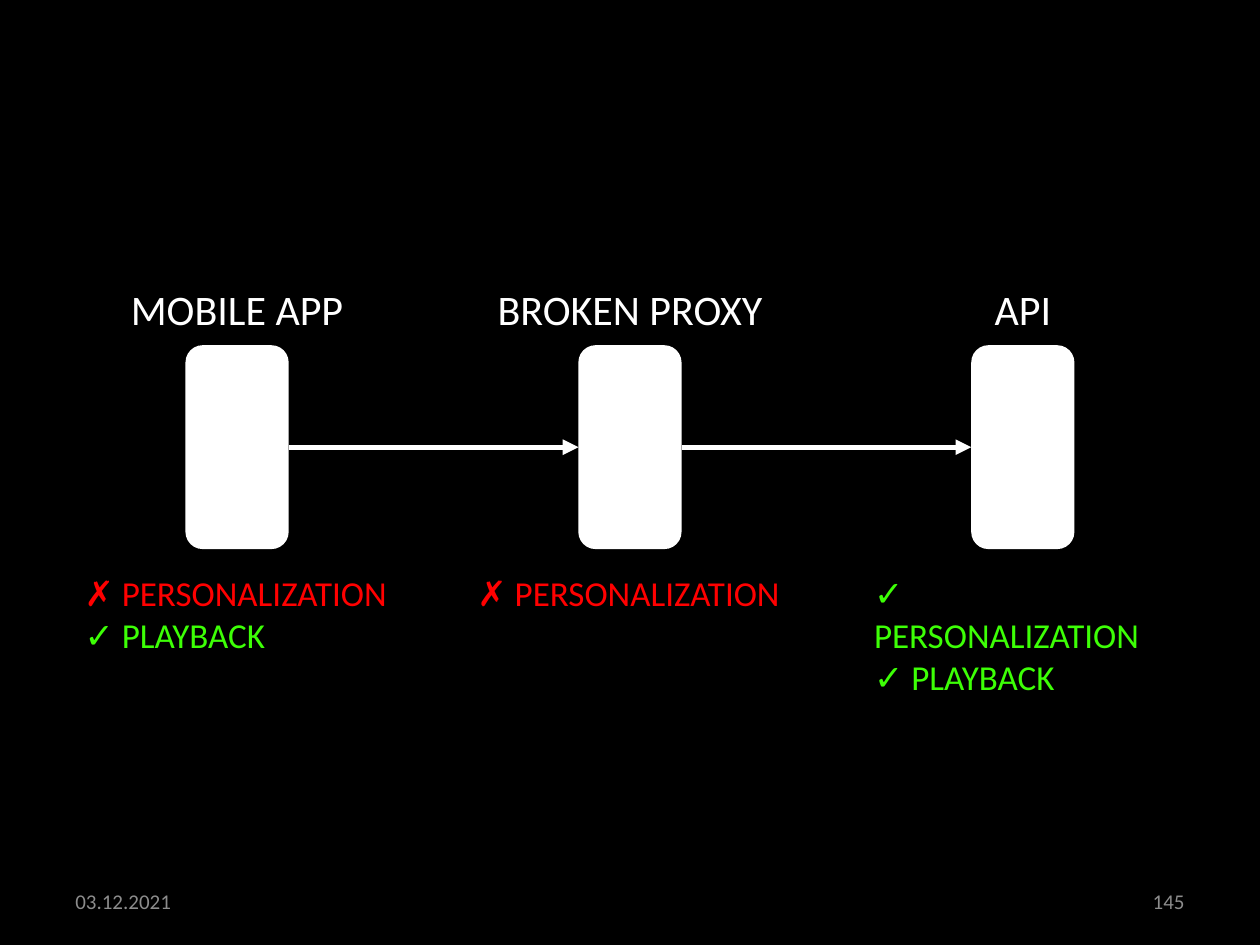
from dataclasses import dataclass

from lxml.etree import SubElement
from pptx import Presentation
from pptx.dml.color import RGBColor
from pptx.enum.shapes import MSO_CONNECTOR, MSO_SHAPE
from pptx.enum.text import MSO_ANCHOR, PP_ALIGN
from pptx.oxml.ns import qn
from pptx.shapes.autoshape import Shape
from pptx.slide import Slide
from pptx.util import Cm, Pt


@dataclass(frozen=True)
class Theme:
    font: str = "Calibri"
    background: RGBColor = RGBColor(0x00, 0x00, 0x00)
    foreground: RGBColor = RGBColor(0xFF, 0xFF, 0xFF)
    works: RGBColor = RGBColor(0x3D, 0xFF, 0x06)
    fails: RGBColor = RGBColor(0xFF, 0x00, 0x00)
    muted: RGBColor = RGBColor(0x8C, 0x8C, 0x8C)
    heading: Pt = Pt(24)
    status: Pt = Pt(20)
    footer: Pt = Pt(12)
    arrow: Pt = Pt(3)


@dataclass(frozen=True)
class Line:
    text: str
    color: RGBColor


@dataclass(frozen=True)
class Box:
    left: float
    top: float
    width: float
    height: float

    def lengths(self) -> tuple[Cm, Cm, Cm, Cm]:
        return Cm(self.left), Cm(self.top), Cm(self.width), Cm(self.height)


@dataclass(frozen=True)
class Stage:
    heading: str
    heading_width: float
    statuses: list[Line]
    status_width: float = 6.65
    status_wraps: bool = False


THEME = Theme()
FIRST_CENTER, PITCH = 4.78, 7.92
NODE_WIDTH, NODE_HEIGHT, NODE_TOP = 2.08, 4.11, 6.96
HEADING_TOP, STATUS_TOP = 5.59, 11.4
RIGHT_SIDE, LEFT_SIDE = 3, 1

STAGES = [
    Stage("MOBILE APP", 4.83, [Line("✗ PERSONALIZATION", THEME.fails),
                               Line("✓ PLAYBACK", THEME.works)]),
    Stage("BROKEN PROXY", 5.89, [Line("✗ PERSONALIZATION", THEME.fails)]),
    Stage("API", 1.65, [Line("✓ PERSONALIZATION", THEME.works),
                        Line("✓ PLAYBACK", THEME.works)],
          status_width=6.5, status_wraps=True),
]


def set_all(target: object, values: dict[str, object]) -> None:
    for name, value in values.items():
        setattr(target, name, value)


def add_text(slide: Slide, box: Box, lines: list[Line], size: Pt,
             align: PP_ALIGN = PP_ALIGN.LEFT,
             anchor: MSO_ANCHOR = MSO_ANCHOR.TOP, wrap: bool = False) -> None:
    frame = slide.shapes.add_textbox(*box.lengths()).text_frame
    set_all(frame, {"word_wrap": wrap, "vertical_anchor": anchor})
    paragraph = frame.paragraphs[0]
    paragraph.alignment = align
    set_all(paragraph.font, {"name": THEME.font, "size": size})
    for index, line in enumerate(lines):
        if index:
            paragraph.add_line_break()
        run = paragraph.add_run()
        run.text = line.text
        set_all(run.font, {"name": THEME.font, "size": size})
        run.font.color.rgb = line.color


def add_stage(slide: Slide, stage: Stage, center: float) -> Shape:
    def centered(top: float, width: float, height: float) -> Box:
        return Box(center - width / 2, top, width, height)

    node = slide.shapes.add_shape(
        MSO_SHAPE.ROUNDED_RECTANGLE,
        *centered(NODE_TOP, NODE_WIDTH, NODE_HEIGHT).lengths())
    node.shadow.inherit = False
    node.fill.solid()
    node.fill.fore_color.rgb = THEME.foreground
    node.line.fill.background()

    add_text(slide, centered(HEADING_TOP, stage.heading_width, 1.27),
             [Line(stage.heading, THEME.foreground)], THEME.heading,
             PP_ALIGN.CENTER)
    status_height = 0.28 + 0.84 * len(stage.statuses)
    add_text(slide, centered(STATUS_TOP, stage.status_width, status_height),
             stage.statuses, THEME.status, wrap=stage.status_wraps)
    return node


def add_arrow(slide: Slide, source: Shape, target: Shape) -> None:
    arrow = slide.shapes.add_connector(MSO_CONNECTOR.STRAIGHT, 0, 0, 0, 0)
    arrow.begin_connect(source, RIGHT_SIDE)
    arrow.end_connect(target, LEFT_SIDE)
    arrow.line.width = THEME.arrow
    arrow.line.color.rgb = THEME.foreground
    SubElement(arrow.line._get_or_add_ln(), qn("a:tailEnd"), type="triangle")
    SubElement(arrow._element.spPr, qn("a:effectLst"))


def main() -> None:
    deck = Presentation()
    set_all(deck, {"slide_width": Cm(25.4), "slide_height": Cm(19.05)})
    slide = deck.slides.add_slide(deck.slide_layouts[6])
    slide.background.fill.solid()
    slide.background.fill.fore_color.rgb = THEME.background

    # Footer: date and slide number
    for text, left, align in (("03.12.2021", 1.27, PP_ALIGN.LEFT),
                              ("145", 18.21, PP_ALIGN.RIGHT)):
        add_text(slide, Box(left, 17.65, 5.92, 1.02),
                 [Line(text, THEME.muted)], THEME.footer, align,
                 MSO_ANCHOR.MIDDLE, wrap=True)

    # Request chain: stages with headings and statuses
    nodes = [add_stage(slide, stage, FIRST_CENTER + index * PITCH)
             for index, stage in enumerate(STAGES)]

    # Arrows between neighbouring stages
    for source, target in zip(nodes, nodes[1:]):
        add_arrow(slide, source, target)

    deck.save("out.pptx")


if __name__ == "__main__":
    main()
